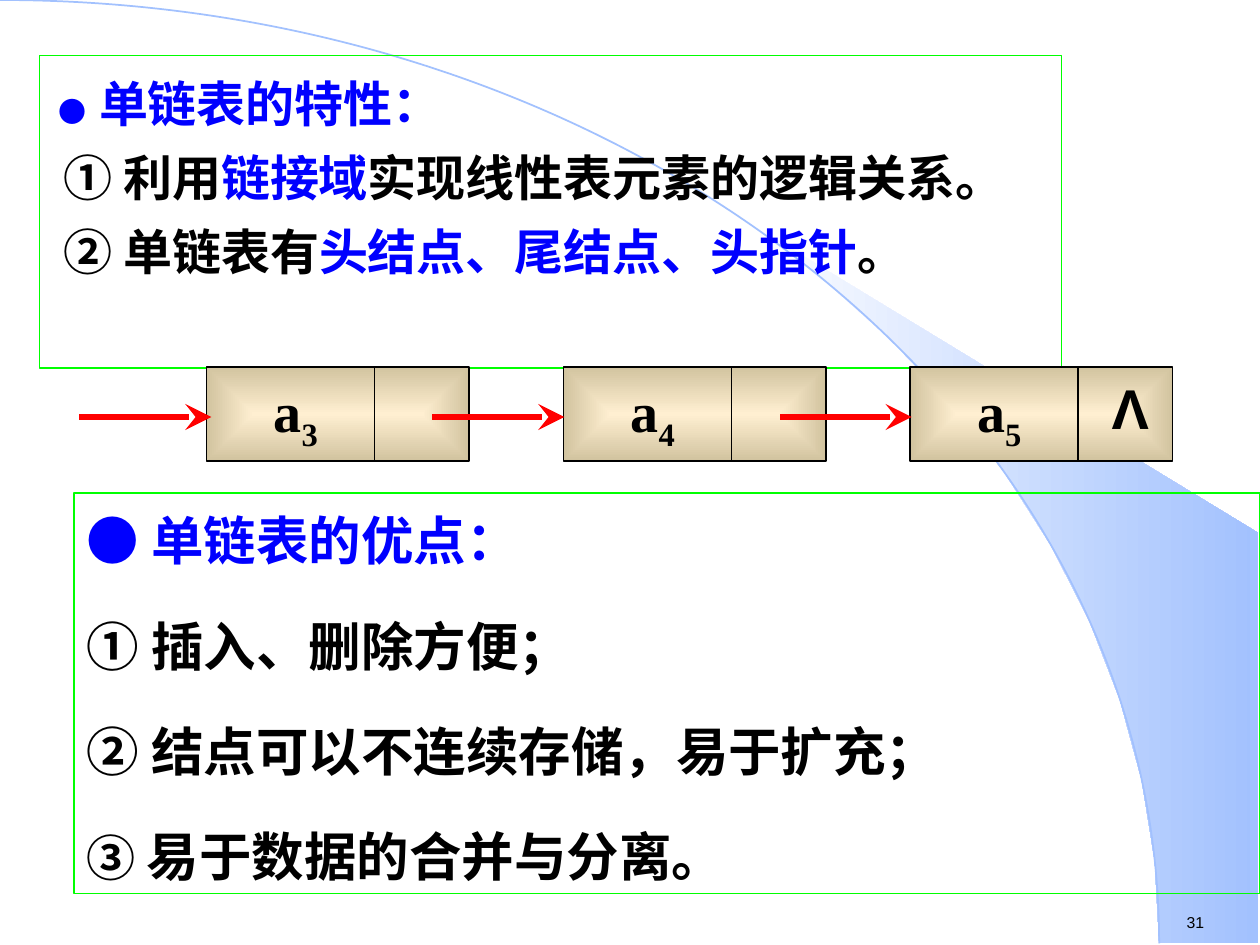
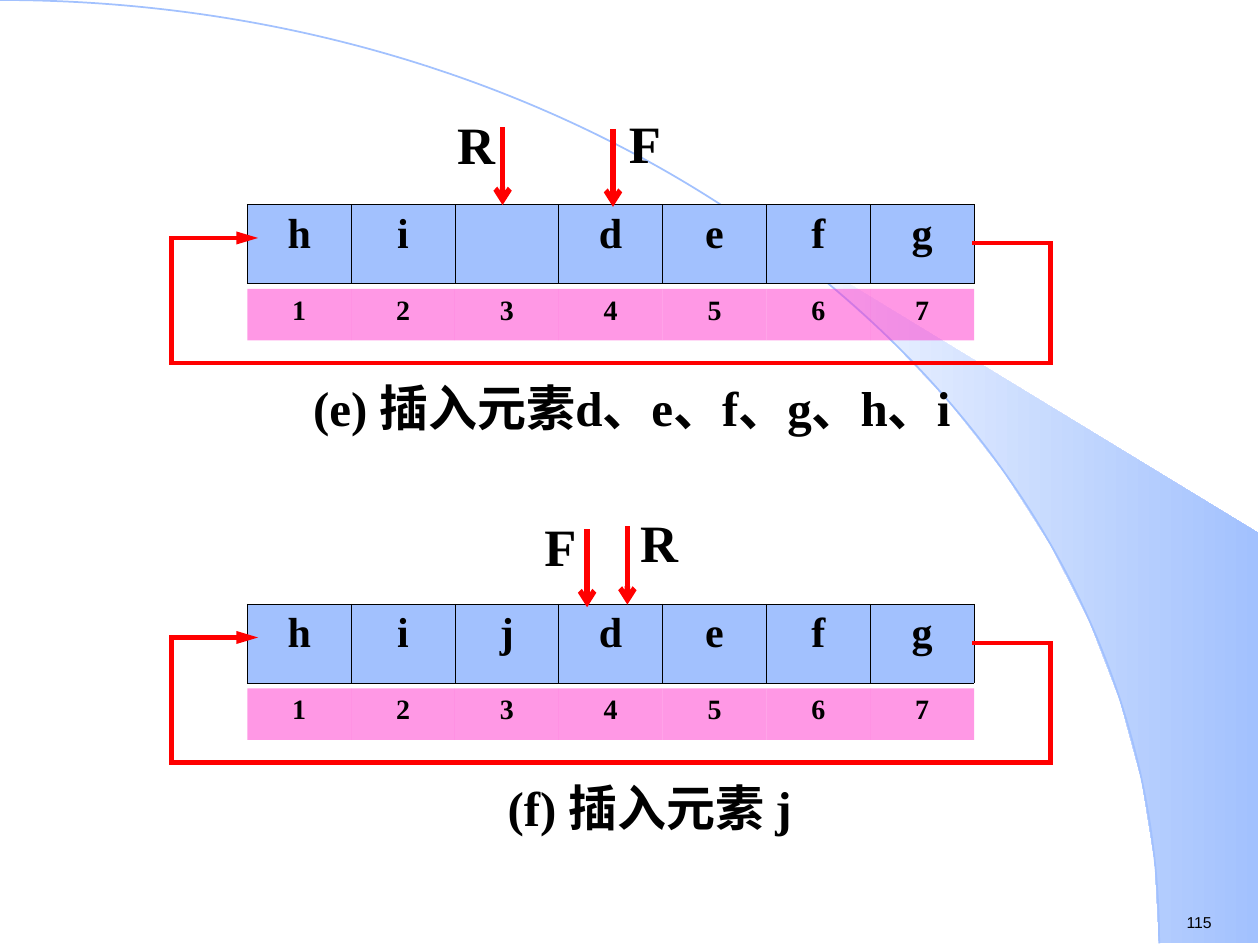
import itertools
import math

import lxml.etree
import pptx
import pptx.dml.color
import pptx.enum.shapes
import pptx.enum.text
import pptx.oxml
import pptx.oxml.ns
import pptx.util

Pt = pptx.util.Pt
qn = pptx.oxml.ns.qn
rgb = pptx.dml.color.RGBColor.from_string
sub = lxml.etree.SubElement
CENTER = pptx.enum.text.PP_ALIGN.CENTER
RECT = pptx.enum.shapes.MSO_SHAPE.RECTANGLE
STRAIGHT = pptx.enum.shapes.MSO_CONNECTOR.STRAIGHT

SERIF, SANS, HAN = "Times New Roman", "Arial", "Noto Sans CJK SC"
BLACK, BLUE, RED, GREEN = "000000", "0000FF", "FF0000", "00FF00"
SKY, PINK = "A2C1FE", "FF33CC"
NO_GRID = "{2D5ABB26-0587-4C30-8999-92F81FD0307C}"


def write(para, runs, size, face=SERIF, bold=True, align=None):
    """Fill a paragraph with (text, colour) runs in one font."""
    para.alignment = align
    font = para.font
    font.size, font.bold, font.name = Pt(size), bold, face
    font.color.rgb = rgb(BLACK)
    sub(para._p.pPr.find(qn("a:defRPr")), qn("a:ea"), typeface=HAN)
    for text, color in runs:
        run = para.add_run()
        run.text = text
        if color != BLACK:
            run.font.color.rgb = rgb(color)


def draw(slide, start, end, width, **head):
    """Draw a red line, with an arrowhead at its end if one is described."""
    line = slide.shapes.add_connector(STRAIGHT, *map(Pt, start + end))
    line.line.color.rgb = rgb(RED)
    line.line.width = Pt(width)
    props = line.element.spPr
    stroke = props.find(qn("a:ln"))
    stroke.set("cap", "sq")
    if head:
        sub(stroke, qn("a:tailEnd"), head)
    sub(props, qn("a:effectLst"))
    return line


prs = pptx.Presentation()
prs.slide_width, prs.slide_height = Pt(720), Pt(540)
traits = prs.slides.add_slide(prs.slide_layouts[1])
queue = prs.slides.add_slide(prs.slide_layouts[6])

# Master: a shaded wedge along a quarter ellipse
wide, high = 662.4, 539
turns = [math.radians(deg) for deg in range(40, 91, 5)]
wedge = [(wide * math.sin(turn), high * (1 - math.cos(turn))) for turn in turns]
wedge += [(719, high), (719, 304.6)]
tree = prs.slide_master.element.cSld.spTree
for num, points in enumerate((wedge, [(0, 0), (wide, high)])):
    dots = [(Pt(x), Pt(y)) for x, y in points]
    pen = traits.shapes.build_freeform(*dots[0])
    pen.add_line_segments(dots[1:], close=points is wedge)
    form = pen.convert_to_shape()
    form.shadow.inherit = False
    if points is wedge:
        form.line.fill.background()
        form.fill.gradient()
        form.fill.gradient_angle = 0
        for stop, color in zip(form.fill.gradient_stops, ("FFFFFF", SKY)):
            stop.color.rgb = rgb(color)
    else:
        form.fill.background()
        form.line.color.rgb = rgb(SKY)
        form.line.width = Pt(1)
        step = next(form.element.iter(qn("a:lnTo")))
        curve = lxml.etree.Element(qn("a:cubicBezTo"))
        for x, y in ((0.552 * wide, 0), (wide, 0.448 * high), (wide, high)):
            sub(curve, qn("a:pt"), x=str(Pt(x)), y=str(Pt(y)))
        step.getparent().replace(step, curve)
    form.element.nvSpPr.cNvPr.id = 20 + num
    tree.insert(2 + num, form.element)

for slide, page in ((traits, "31"), (queue, "115")):
    box = slide.shapes.add_textbox(Pt(671), Pt(518.2), Pt(55), Pt(18))
    box.text_frame.word_wrap = False
    write(box.text_frame.paragraphs[0], [(page, BLACK)], 9, SANS, bold=False)

# Slide 1: traits of a singly linked list
title = traits.shapes.title.element
title.getparent().remove(title)
body = traits.placeholders[1]
body.left, body.top, body.width, body.height = Pt(22.6), Pt(31.8), Pt(584), Pt(178.5)
body.line.color.rgb = rgb(GREEN)
body.line.width = Pt(0.75)
frame = body.text_frame
frame.auto_size = pptx.enum.text.MSO_AUTO_SIZE.NONE
lines = [
    [(" ●  ", BLUE), ("单链表的特性：", BLUE)],
    [(" ① 利用", BLACK), ("链接域", BLUE), ("实现线性表元素的逻辑关系。", BLACK)],
    [(" ② 单链表有", BLACK), ("头结点、尾结点、头指针", BLUE), ("。", BLACK)],
]
for num, runs in enumerate(lines):
    para = frame.add_paragraph() if num else frame.paragraphs[0]
    write(para, runs, 28)
    para.line_spacing = 1.2
    para.space_before = Pt(1.8 if num else 5.2)
    props = para._p.pPr
    props.set("marL", str(Pt(27)))
    props.set("indent", str(-Pt(27)))
    props.find(qn("a:defRPr")).addprevious(pptx.oxml.parse_xml(
        '<a:buNone xmlns:a="http://schemas.openxmlformats.org/drawingml/2006/main"/>'))
frame.paragraphs[0].runs[0].font.size = Pt(16)

top, high = 209.5, 54
for left, index in ((118, "3"), (322, "4"), (520, "5")):
    node = traits.shapes.add_shape(RECT, Pt(left), Pt(top), Pt(150), Pt(high))
    node.shadow.inherit = False
    node.line.color.rgb = rgb(BLACK)
    node.line.width = Pt(1)
    node.fill.gradient()
    for stop, color in zip(node.fill.gradient_stops, ("FFEFD1", "D1C39F")):
        stop.color.rgb = rgb(color)
    grad = node.element.spPr.find(qn("a:gradFill"))
    grad.remove(grad.find(qn("a:lin")))
    focus = sub(grad, qn("a:path"), {"path": "rect"})
    sub(focus, qn("a:fillToRect"), {side: "50000" for side in "ltrb"})
    split = draw(traits, (left + 96, top), (left + 96, top + high), 1)
    split.line.color.rgb = rgb(BLACK)
    label = traits.shapes.add_textbox(Pt(left + 6), Pt(215.6), Pt(90), Pt(42.5))
    label.text_frame.word_wrap = True
    para = label.text_frame.paragraphs[0]
    write(para, [("a", BLACK), (index, BLACK)], 32, align=CENTER)
    para.line_spacing = 0.8
    para.runs[1]._r.get_or_add_rPr().set("baseline", "-25000")

null = traits.shapes.add_textbox(Pt(610), Pt(210), Pt(72), Pt(46))
null.text_frame.word_wrap = True
write(null.text_frame.paragraphs[0], [("Λ", BLACK)], 32, SANS, align=CENTER)
for left in (46.8, 248.5, 447):
    draw(traits, (left, 238.3), (left + 74, 238.3), 3, type="stealth", w="lg", len="lg")

merits = traits.shapes.add_shape(RECT, Pt(42.5), Pt(281.6), Pt(677.5), Pt(229))
merits.shadow.inherit = False
merits.fill.background()
merits.line.color.rgb = rgb(GREEN)
merits.line.width = Pt(1)
frame = merits.text_frame
frame.vertical_anchor = pptx.enum.text.MSO_ANCHOR.TOP
lines = [
    [("● 单链表的优点：", BLUE)],
    [("① 插入、删除方便；", BLACK)],
    [("② 结点可以不连续存储，易于扩充；", BLACK)],
    [("③ ", BLACK), ("易于数据的合并与分离。", BLACK)],
]
for num, runs in enumerate(lines):
    para = frame.add_paragraph() if num else frame.paragraphs[0]
    write(para, runs, 30, HAN, align=pptx.enum.text.PP_ALIGN.LEFT)
    para.line_spacing = 1.15
    para.space_before = Pt(18.7)
    for run in para.runs:
        run.font.color.rgb = rgb(BLACK if num else BLUE)
para.runs[0].font.size = Pt(28)

# Slide 2: two states of a circular queue; marks are name, arrow x, y, label x, y
states = [
    (0, ["h", "i", "", "d", "e", "f", "g"], "(e) 插入元素d、e、f、g、h、i", 168.5, 385,
     [("R", 287.2, 74, 256.3, 67), ("F", 350.3, 75, 352.8, 66.5)]),
    (228.3, ["h", "i", "j", "d", "e", "f", "g"], "(f) 插入元素 j", 220.5, 301.5,
     [("F", 335.5, 75.5, 304.5, 68.2), ("R", 358.5, 74, 360.8, 66.2)]),
]
loop = [(556.5, 139), (600.3, 139), (600.3, 207.5), (98, 207.5), (98, 136), (147.5, 136)]
for down, items, caption, left, wide, marks in states:
    rows = [(items, 117, 45, 24, SKY), ("1234567", 165, 29.5, 16, PINK)]
    for texts, top, high, size, color in rows:
        table = queue.shapes.add_table(
            1, 7, Pt(141.3), Pt(top + down), Pt(415.4), Pt(high)).table
        table.first_row = table.horz_banding = False
        table._tbl.tblPr.find(qn("a:tableStyleId")).text = NO_GRID
        for cell, text in zip(table.iter_cells(), texts):
            write(cell.text_frame.paragraphs[0], [(text, BLACK)] if text else [],
                  size, align=CENTER)
            props = cell._tc.get_or_add_tcPr()
            if color == SKY:
                for side in ("lnL", "lnR", "lnT", "lnB"):
                    edge = sub(props, qn("a:" + side), w=str(Pt(0.45)))
                    solid = sub(edge, qn("a:solidFill"))
                    sub(solid, qn("a:srgbClr"), val=BLACK)
            cell.fill.solid()
            cell.fill.fore_color.rgb = rgb(color)
            if color == PINK:
                tint = props.find(qn("a:solidFill")).find(qn("a:srgbClr"))
                sub(tint, qn("a:alpha"), val="50000")

    labels = [(caption, left, 216.4, wide, 37.5, 28)]
    for name, x, y, side, rise in marks:
        draw(queue, (x, y + down), (x, y + 43.2 + down), 3, type="arrow")
        labels.append((name, side, rise, 31.5, 34.5, 30))
    for text, x, y, width, high, size in labels:
        box = queue.shapes.add_textbox(Pt(x), Pt(y + down), Pt(width), Pt(high))
        frame = box.text_frame
        frame.word_wrap = True
        frame.margin_left = frame.margin_right = 0
        frame.margin_top = frame.margin_bottom = 0
        write(frame.paragraphs[0], [(text, BLACK)], size, align=CENTER)
        frame.paragraphs[0].line_spacing = Pt(33)

    for (x, y), (far, low) in itertools.pairwise(loop):
        last = (far, low) == loop[-1]
        head = {"type": "triangle", "len": "lg"} if last else {}
        draw(queue, (x, y + down), (far, low + down), 2.5, **head)

prs.save("out.pptx")
